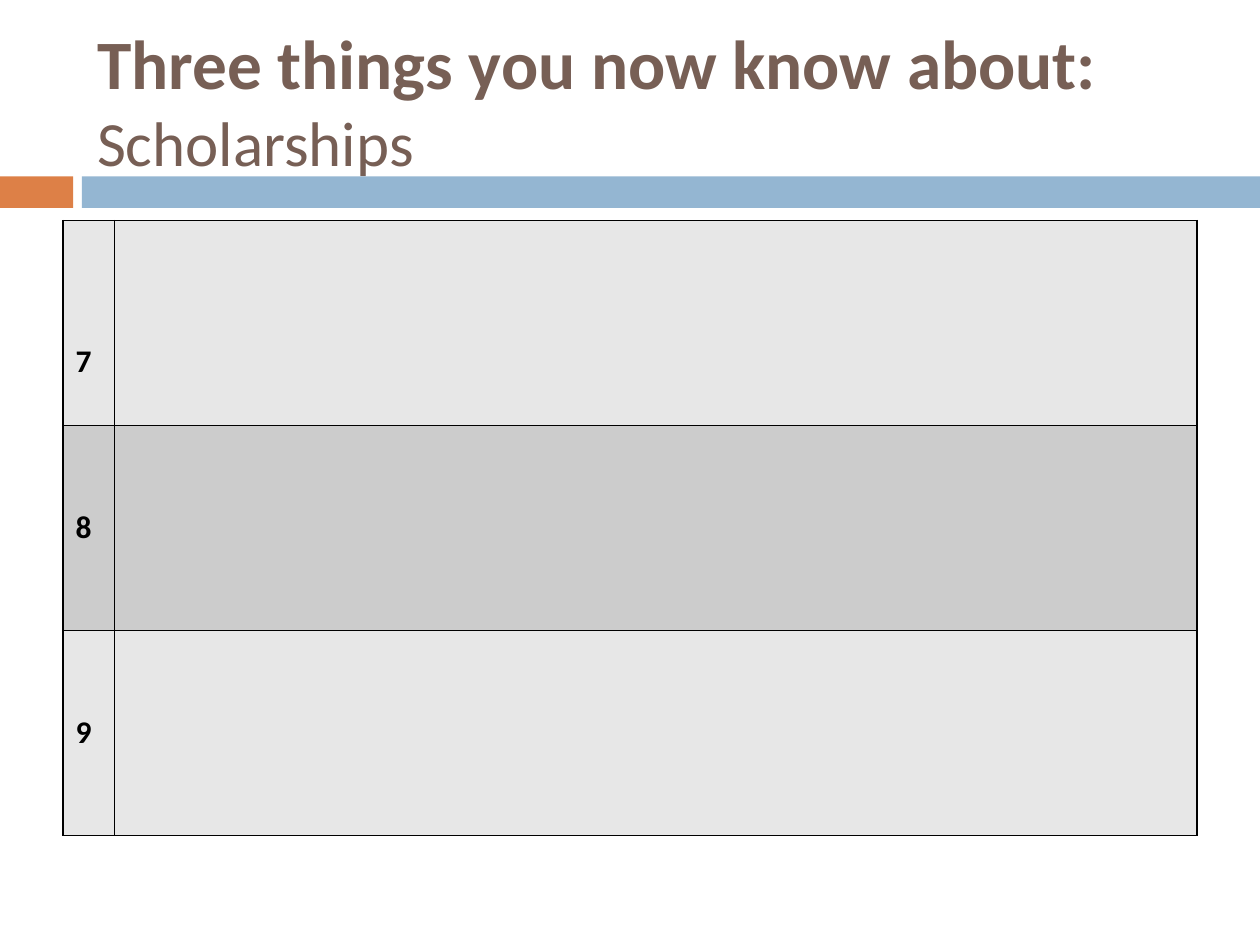
import pptx
import pptx.util
import pptx.dml.color
import pptx.enum.shapes
import pptx.enum.text
import pptx.oxml.ns
from lxml import etree

Inches, Pt = pptx.util.Inches, pptx.util.Pt
RGB = pptx.dml.color.RGBColor
qn = pptx.oxml.ns.qn

BLACK = RGB(0, 0, 0)
BROWN = RGB(0x77, 0x5F, 0x55)
ORANGE = RGB(0xDD, 0x80, 0x47)
BLUE = RGB(0x94, 0xB6, 0xD2)
LIGHT = RGB(0xE7, 0xE7, 0xE7)
DARK = RGB(0xCC, 0xCC, 0xCC)
FONT = "Calibri"

WIDE, HIGH = 10, 7.5
TITLE = [("Three things you now know about:", 39.6, True),
         ("Scholarships", 36, False)]
BARS = [(0, 0.58, ORANGE), (0.65, WIDE - 0.65, BLUE)]
ROWS = [("7", 3, LIGHT), ("8", 2, DARK), ("9", 2, LIGHT)]
COLS = [0.41, 8.59]
TALL = 4.88 / len(ROWS)
LINE = 0.305


def add_title(slide):
    title = slide.shapes.title
    title.left, title.top = Inches(0.67), Inches(0.25)
    title.width, title.height = Inches(8.92), Inches(1.08)
    frame = title.text_frame
    frame.word_wrap = True
    frame.auto_size = pptx.enum.text.MSO_AUTO_SIZE.NONE
    frame.vertical_anchor = pptx.enum.text.MSO_ANCHOR.MIDDLE
    para = frame.paragraphs[0]
    para.alignment = pptx.enum.text.PP_ALIGN.LEFT
    for i, (text, size, bold) in enumerate(TITLE):
        if i:
            para.add_line_break()
            mark = para._p.find(qn("a:br"))
            etree.SubElement(mark, qn("a:rPr"), sz="3600")
        run = para.add_run()
        run.text = text
        run.font.name, run.font.size = FONT, Pt(size)
        run.font.bold = bold
        run.font.color.rgb = BROWN


def add_bars(slide):
    for left, width, color in BARS:
        bar = slide.shapes.add_shape(
            pptx.enum.shapes.MSO_SHAPE.RECTANGLE,
            Inches(left), Inches(1.4), Inches(width), Inches(0.25))
        bar.shadow.inherit = False
        bar.fill.solid()
        bar.fill.fore_color.rgb = color
        bar.line.fill.background()


def set_cell(cell, color):
    props = cell._tc.get_or_add_tcPr()
    for side in ("lnL", "lnR", "lnT", "lnB"):
        edge = etree.SubElement(props, qn("a:" + side), w=str(Pt(1)))
        fill = etree.SubElement(edge, qn("a:solidFill"))
        etree.SubElement(fill, qn("a:srgbClr"), val=str(BLACK))
    cell.fill.solid()
    cell.fill.fore_color.rgb = color


def add_grid(slide):
    table = slide.shapes.add_table(
        len(ROWS), len(COLS), Inches(0.5), Inches(1.75),
        Inches(sum(COLS)), Inches(TALL * len(ROWS))).table
    table.first_row = False
    table.horz_banding = False
    for col, width in zip(table.columns, COLS):
        col.width = Inches(width)
    for row, (label, drop, color) in zip(table.rows, ROWS):
        row.height = Inches(TALL)
        for cell in row.cells:
            set_cell(cell, color)
        cell = row.cells[0]
        cell.text = label
        cell.margin_top = Inches(0.05 + drop * LINE)
        font = cell.text_frame.paragraphs[0].font
        font.name, font.size, font.bold = FONT, Pt(18), True
        font.color.rgb = BLACK


def main():
    deck = pptx.Presentation()
    deck.slide_width, deck.slide_height = Inches(WIDE), Inches(HIGH)
    slide = deck.slides.add_slide(deck.slide_layouts.get_by_name("Title Only"))
    add_bars(slide)
    add_title(slide)
    add_grid(slide)
    deck.save("out.pptx")


if __name__ == "__main__":
    main()
